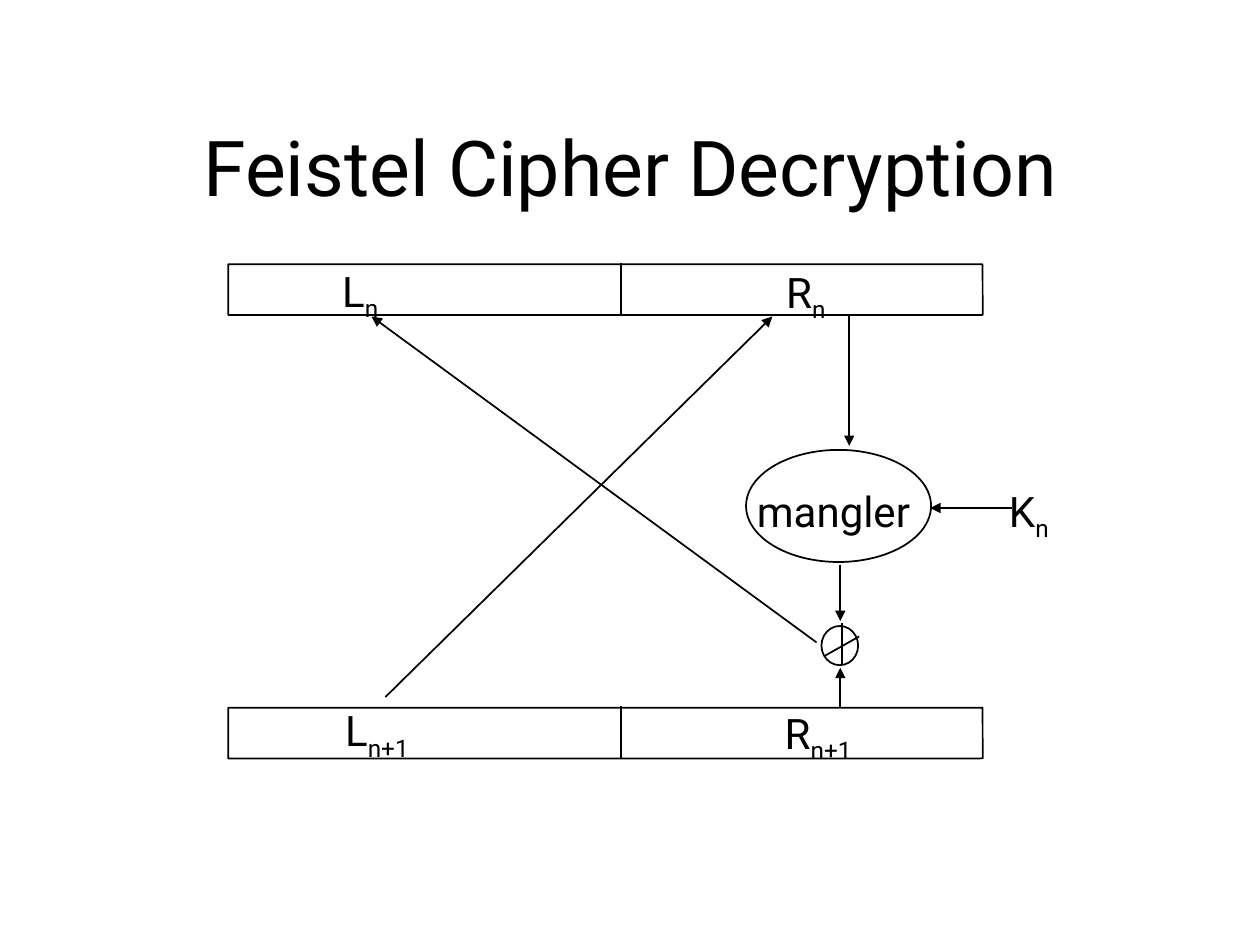
"""Build the Feistel cipher decryption slide."""
import lxml.etree
import pptx
import pptx.dml.color
import pptx.enum.shapes
import pptx.enum.text
import pptx.oxml.ns
import pptx.util

Cm = pptx.util.Cm
Pt = pptx.util.Pt
Kind = pptx.enum.shapes.MSO_SHAPE
Align = pptx.enum.text.PP_ALIGN
Anchor = pptx.enum.text.MSO_ANCHOR
qn = pptx.oxml.ns.qn

THEME = {
    "font": "Roboto",
    "ink": pptx.dml.color.RGBColor(0, 0, 0),
    "title": Pt(44),
    "label": Pt(24),
    "line": Pt(1),
    "lead": 1.01,
    "sub": "-25000",
}

TITLE = ("Feistel Cipher Decryption", (2.06, 1.78, 21.31, 3.12))
BAR = {"left": 4.6, "width": 15.21, "height": 1.02, "split": 12.52}
TOPS = [5.33, 14.27]
OVALS = [(15.04, 9.07, 3.73, 2.26), (16.56, 12.62, 0.74, 0.79)]
LABELS = [
    ("L", "n", (6.65, 5.21, 1.27, 1.42)),
    ("R", "n", (15.6, 5.23, 1.35, 1.42)),
    ("L", "n+1", (6.71, 14.07, 1.83, 1.42)),
    ("R", "n+1", (15.57, 14.12, 1.9, 1.42)),
    ("mangler", "", (15.01, 9.65, 3.86, 1.3)),
    ("K", "n", (20.09, 9.65, 1.35, 1.42)),
]
STROKES = [(16.97, 12.55, 16.97, 13.39), (16.61, 13.23, 17.32, 12.83)]
ARROWS = [
    (7.77, 14.05, 15.57, 6.38),
    (17.12, 6.38, 17.12, 8.99),
    (20.4, 10.24, 18.75, 10.24),
    (16.94, 11.38, 16.94, 12.52),
    (16.46, 12.95, 7.49, 6.38),
    (16.94, 14.25, 16.94, 13.46),
]


def write(slide, text, box, sub="", size=THEME["label"], align=Align.LEFT,
          anchor=Anchor.TOP, wrap=False):
    frame = slide.shapes.add_textbox(*map(Cm, box)).text_frame
    frame.word_wrap = wrap
    frame.vertical_anchor = anchor
    para = frame.paragraphs[0]
    para.alignment = align
    para.line_spacing = THEME["lead"]
    for part, base in ((text, None), (sub, THEME["sub"])):
        if not part:
            continue
        run = para.add_run()
        run.text = part
        run.font.name = THEME["font"]
        run.font.size = size
        run.font.color.rgb = THEME["ink"]
        if base:
            run._r.get_or_add_rPr().set("baseline", base)


def ink(item):
    item.line.color.rgb = THEME["ink"]
    item.line.width = THEME["line"]


def draw(slide, kind, box):
    shape = slide.shapes.add_shape(kind, *map(Cm, box))
    shape.shadow.inherit = False
    shape.fill.background()
    ink(shape)
    return shape


def link(slide, ends, arrow=False):
    line = slide.shapes.add_connector(
        pptx.enum.shapes.MSO_CONNECTOR.STRAIGHT, *map(Cm, ends))
    ink(line)
    if arrow:
        lxml.etree.SubElement(line.line._get_or_add_ln(), qn("a:tailEnd"),
                              type="triangle")
    lxml.etree.SubElement(line._element.spPr, qn("a:effectLst"))


def main():
    deck = pptx.Presentation()
    deck.slide_width, deck.slide_height = Cm(25.4), Cm(19.05)
    slide = deck.slides.add_slide(deck.slide_layouts[6])
    text, box = TITLE
    write(slide, text, box, size=THEME["title"], align=Align.CENTER,
          anchor=Anchor.MIDDLE, wrap=True)
    for top in TOPS:
        bar = draw(slide, Kind.ROUNDED_RECTANGLE,
                   (BAR["left"], top, BAR["width"], BAR["height"]))
        bar.adjustments[0] = 0.004
        link(slide, (BAR["split"], top - 0.03,
                     BAR["split"], top + BAR["height"]))
    for box in OVALS:
        draw(slide, Kind.OVAL, box)
    for text, sub, box in LABELS:
        write(slide, text, box, sub=sub)
    for ends in STROKES:
        link(slide, ends)
    for ends in ARROWS:
        link(slide, ends, arrow=True)
    deck.save("out.pptx")


if __name__ == "__main__":
    main()
